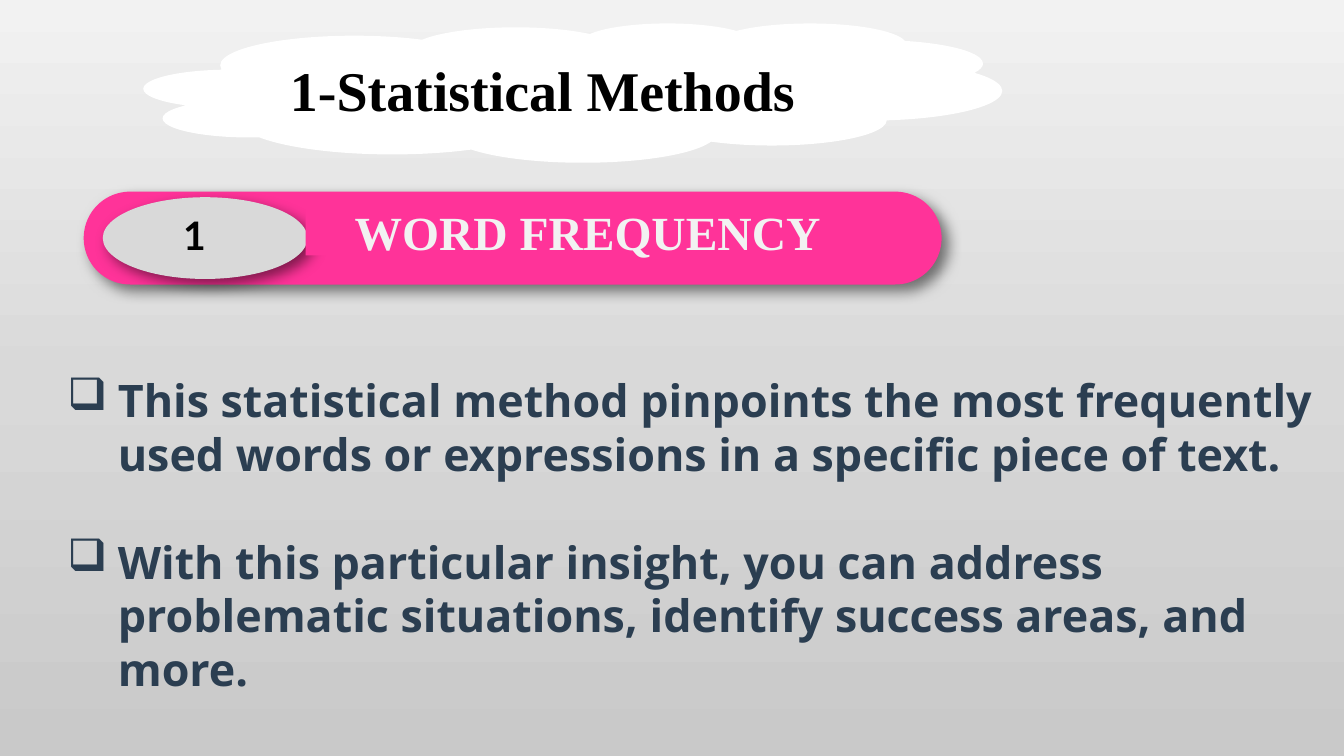
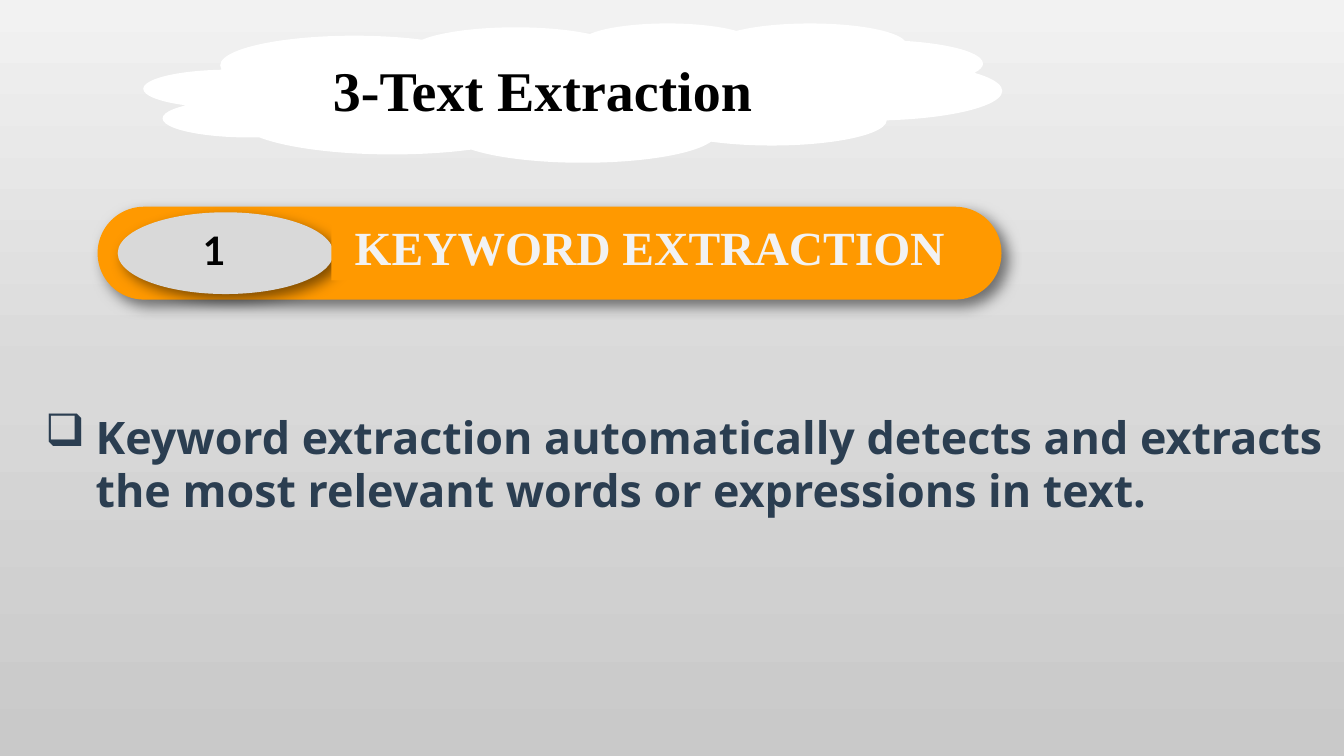
from copy import deepcopy
from lxml.etree import SubElement
from pptx import Presentation
from pptx.dml.color import RGBColor
from pptx.enum.shapes import MSO_SHAPE
from pptx.enum.text import MSO_ANCHOR, PP_ALIGN
from pptx.oxml.ns import qn
from pptx.util import Cm, Pt

INK = "000000"
WHITE = "FFFFFF"
PALE = "F2F2F2"
GREY = "D9D9D9"
BODY = "2B3E51"
BACKGROUND = [(0, PALE), (0.5, GREY), (1, "C9C9C9")]
SERIF = "Times New Roman"
BASE_BAR_WIDTH = 21.62


def rgb(value):
    return RGBColor.from_string(value)


def add_block(shapes, kind, box, fill, text="", font=None, anchor=MSO_ANCHOR.TOP, shadow=False):
    shape = shapes.add_shape(kind, *[Cm(length) for length in box])
    shape.fill.solid()
    shape.fill.fore_color.rgb = rgb(fill)
    shape.line.fill.background()
    shape.shadow.inherit = False
    if shadow:
        effects = shape._element.spPr.find(qn("a:effectLst"))
        outer = SubElement(effects, qn("a:outerShdw"), blurRad=str(Pt(10)), dist=str(Pt(6)),
                           dir="2700000", algn="tl", rotWithShape="0")
        color = SubElement(outer, qn("a:srgbClr"), val=INK)
        SubElement(color, qn("a:alpha"), val="50000")
    if text:
        name, size, color = font
        shape.text_frame.word_wrap = True
        shape.text_frame.vertical_anchor = anchor
        paragraph = shape.text_frame.paragraphs[0]
        paragraph.text = text
        paragraph.alignment = PP_ALIGN.CENTER
        paragraph.font.name = name
        paragraph.font.size = Pt(size)
        paragraph.font.bold = True
        paragraph.font.color.rgb = rgb(color)
    return shape


contents = [
    {
        "title": "1-Statistical Methods",
        "label": "WORD FREQUENCY",
        "accent": "FF3399",
        "bar": (2.11, 4.83, 21.62),
        "label_size": (14.22, 1.45),
        "body": (1.45, 9.27, 32.79, 8.46),
        "points": [
            "This statistical method pinpoints the most frequently used words or expressions in a specific piece of text.",
            "With this particular insight, you can address problematic situations, identify success areas, and more.",
        ],
    },
    {
        "title": "3-Text Extraction",
        "label": "KEYWORD EXTRACTION",
        "accent": "FF9900",
        "bar": (2.46, 5.21, 22.78),
        "label_size": (16.05, 1.7),
        "body": (0.89, 10.19, 32.79, 3),
        "points": [
            "Keyword extraction automatically detects and extracts the most relevant words or expressions in text.",
        ],
    },
]

presentation = Presentation()
presentation.slide_width = Cm(33.87)
presentation.slide_height = Cm(19.05)

for content in contents:
    slide = presentation.slides.add_slide(presentation.slide_layouts[6])
    background = slide.background.fill
    background.gradient()
    background.gradient_angle = 270
    stop_list = slide.background._cSld.find(".//" + qn("a:gsLst"))
    stop_list.append(deepcopy(stop_list[0]))
    for stop, (position, color) in zip(background.gradient_stops, BACKGROUND):
        stop.position = position
        stop.color.rgb = rgb(color)

    body = slide.shapes.add_textbox(*[Cm(length) for length in content["body"]]).text_frame
    body.word_wrap = True
    for index, point in enumerate(content["points"]):
        paragraph = body.paragraphs[0] if index == 0 else body.add_paragraph()
        paragraph.text = point
        properties = paragraph._p.get_or_add_pPr()
        properties.set("marL", str(Cm(1.27)))
        properties.set("indent", str(-Cm(1.27)))
        SubElement(properties, qn("a:buChar"), char="❑")
        if index:
            paragraph.space_before = Pt(38.5)
        paragraph.font.name = "Open Sans"
        paragraph.font.size = Pt(32)
        paragraph.font.bold = True
        paragraph.font.color.rgb = rgb(BODY)

    left, top, width = content["bar"]
    scale = width / BASE_BAR_WIDTH
    banner = slide.shapes.add_group_shape().shapes
    bar = add_block(banner, MSO_SHAPE.ROUNDED_RECTANGLE, (left, top, width, 2.34),
                    content["accent"], shadow=True)
    bar.adjustments[0] = 0.5
    add_block(banner, MSO_SHAPE.OVAL, (left + 0.48 * scale, top + 0.14, 5.16 * scale, 2.06),
              GREY, shadow=True)
    add_block(banner, MSO_SHAPE.RECTANGLE, (left + 1.52 * scale, top + 0.38, 2.54 * scale, 1.24),
              GREY, "1", ("Lato", 28, INK))
    add_block(banner, MSO_SHAPE.RECTANGLE,
              (left + 5.59 * scale, top + 0.16, *content["label_size"]),
              content["accent"], content["label"], (SERIF, 34, PALE))

    add_block(slide.shapes, MSO_SHAPE.CLOUD, (3.63, 0.58, 21.62, 3.51), WHITE,
              content["title"], (SERIF, 40, INK), MSO_ANCHOR.MIDDLE)

presentation.save("out.pptx")
